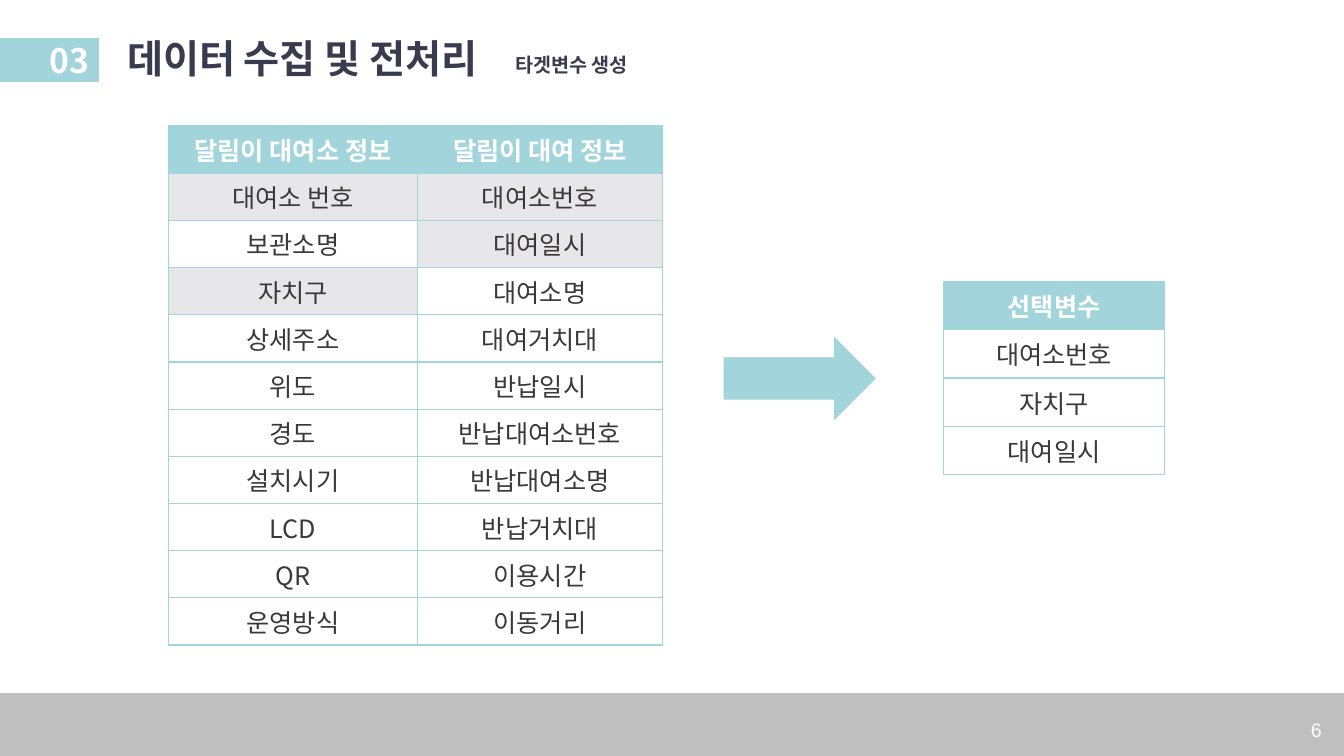
from lxml.etree import SubElement
from pptx import Presentation
from pptx.dml.color import RGBColor
from pptx.enum.shapes import MSO_SHAPE
from pptx.enum.text import MSO_ANCHOR, MSO_AUTO_SIZE, PP_ALIGN
from pptx.oxml import parse_xml
from pptx.oxml.ns import nsdecls, qn
from pptx.util import Inches, Pt

HUE = {"teal": "A2D4DB", "gray": "BFBFBF", "mark": "E7E7E9",
       "white": "FFFFFF", "navy": "393C4E", "text": "3B3838"}
SANS = "Noto Sans CJK KR"
STOCK = [
    ("달림이 대여소 정보", "달림이 대여 정보"),
    ("대여소 번호", "대여소번호"),
    ("보관소명", "대여일시"),
    ("자치구", "대여소명"),
    ("상세주소", "대여거치대"),
    ("위도", "반납일시"),
    ("경도", "반납대여소번호"),
    ("설치시기", "반납대여소명"),
    ("LCD", "반납거치대"),
    ("QR", "이용시간"),
    ("운영방식", "이동거리"),
]
CHOSEN = [("선택변수",), ("대여소번호",), ("자치구",), ("대여일시",)]
MARKS = {(1, 0), (1, 1), (2, 1), (3, 0)}


def color(name):
    return RGBColor.from_string(HUE[name])


def inches(box):
    return [Inches(v) for v in box]


def write(frame, text, size, hue, bold=False, align=PP_ALIGN.LEFT, face=SANS):
    par = frame.paragraphs[0]
    par.alignment = align
    run = par.add_run()
    run.text = text
    font = run.font
    font.size, font.bold, font.name = Pt(size), bold, face
    font.color.rgb = color(hue)
    SubElement(font._element, qn("a:ea"), typeface=face)
    return par


def block(slide, kind, box, fill, line):
    shape = slide.shapes.add_shape(kind, *inches(box))
    shape.shadow.inherit = False
    shape.fill.solid()
    shape.fill.fore_color.rgb = color(fill)
    shape.line.color.rgb = color(line)
    shape.line.width = Pt(1)
    return shape


def label(slide, box):
    frame = slide.shapes.add_textbox(*inches(box)).text_frame
    frame.word_wrap = True
    return frame


def edge(cell):
    props = cell._tc.get_or_add_tcPr()
    for spot, side in enumerate(("lnL", "lnR", "lnT", "lnB")):
        props.insert(spot, parse_xml(
            f'<a:{side} {nsdecls("a")} w="12700"><a:solidFill>'
            f'<a:srgbClr val="{HUE["teal"]}"/></a:solidFill></a:{side}>'))


def header(slide, left, top):
    # Number badge
    badge = block(slide, MSO_SHAPE.RECTANGLE, (left, top + 0.09, 0.98, 0.43),
                  "teal", "teal")
    badge.text_frame.vertical_anchor = MSO_ANCHOR.MIDDLE
    write(badge.text_frame, "03", 24, "white", True, PP_ALIGN.RIGHT)
    # Title and subtitle
    title = slide.shapes.title
    title.left, title.top, title.width, title.height = inches(
        (left + 1.16, top, 4.2, 0.57))
    frame = title.text_frame
    frame.auto_size = MSO_AUTO_SIZE.NONE
    frame.vertical_anchor = MSO_ANCHOR.MIDDLE
    write(frame, "데이터 수집 및 전처리", 28, "navy", True)
    sub = label(slide, (left + 5.01, top + 0.19, 5.93, 0.34))
    write(sub, "타겟변수 생성", 14, "navy", True)


def footer(slide, left, top):
    block(slide, MSO_SHAPE.RECTANGLE, (left, top, 13.33, 0.62), "gray", "gray")
    page = label(slide, (left + 12.9, top + 0.08, 0.31, 0.41))
    par = write(page, "6", 14, "white", align=PP_ALIGN.CENTER, face="Arial")
    par.line_spacing = 1.5


def grid(slide, box, rows, widths, marks=()):
    table = slide.shapes.add_table(len(rows), len(widths), *inches(box)).table
    for col, width in zip(table.columns, widths):
        col.width = Inches(width)
    for r, row in enumerate(rows):
        table.rows[r].height = Inches(box[3] / len(rows))
        for c, text in enumerate(row):
            cell = table.cell(r, c)
            head = r == 0
            fill = "teal" if head else "mark" if (r, c) in marks else "white"
            cell.fill.solid()
            cell.fill.fore_color.rgb = color(fill)
            cell.vertical_anchor = MSO_ANCHOR.MIDDLE
            write(cell.text_frame, text, 18, "white" if head else "text",
                  head, PP_ALIGN.CENTER)
            edge(cell)


def main():
    deck = Presentation()
    deck.slide_width, deck.slide_height = Inches(13.33), Inches(7.5)
    slide = deck.slides.add_slide(deck.slide_layouts[5])
    header(slide, 0, 0.29)
    footer(slide, 0, 6.88)
    # Source columns lead to the chosen ones
    grid(slide, (1.67, 1.25, 4.9, 5.15), STOCK, (2.47, 2.43), MARKS)
    grid(slide, (9.36, 2.79, 2.19, 1.92), CHOSEN, (2.19,))
    block(slide, MSO_SHAPE.RIGHT_ARROW, (7.17, 3.32, 1.53, 0.87),
          "teal", "white")
    deck.save("out.pptx")


if __name__ == "__main__":
    main()
